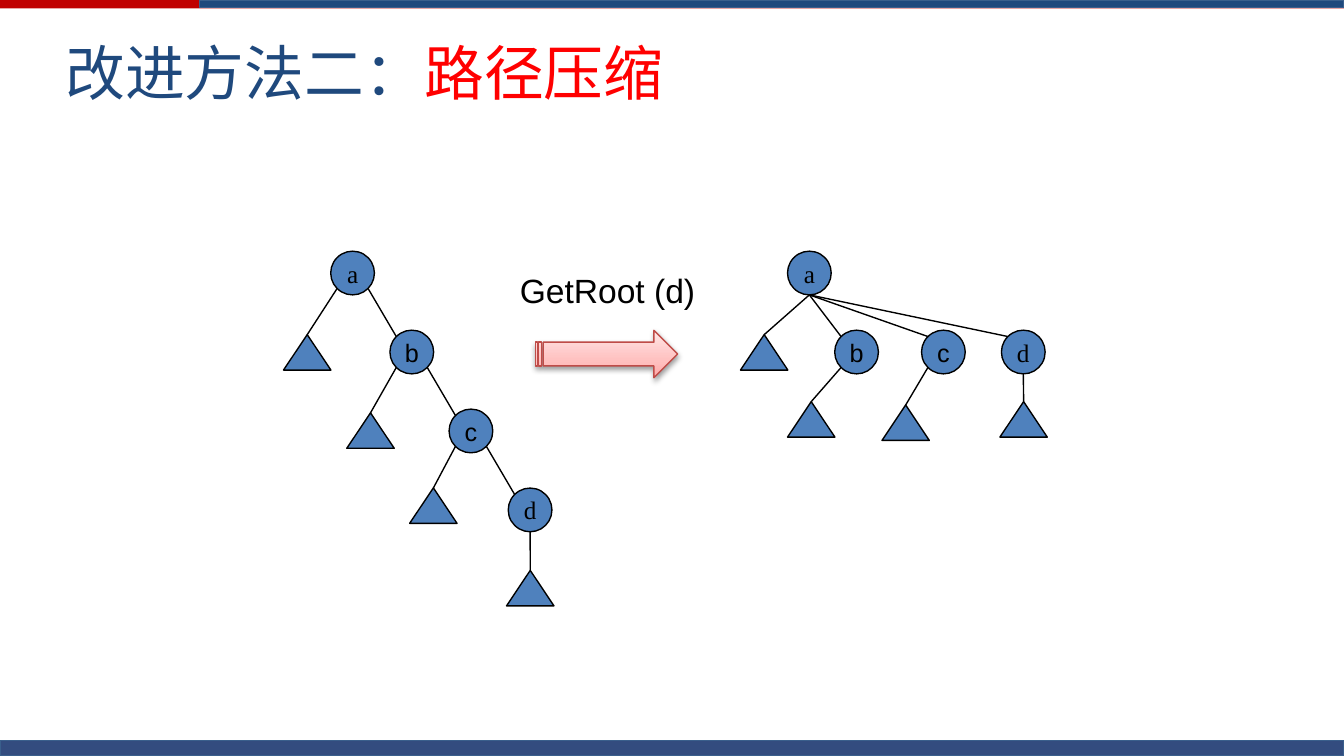
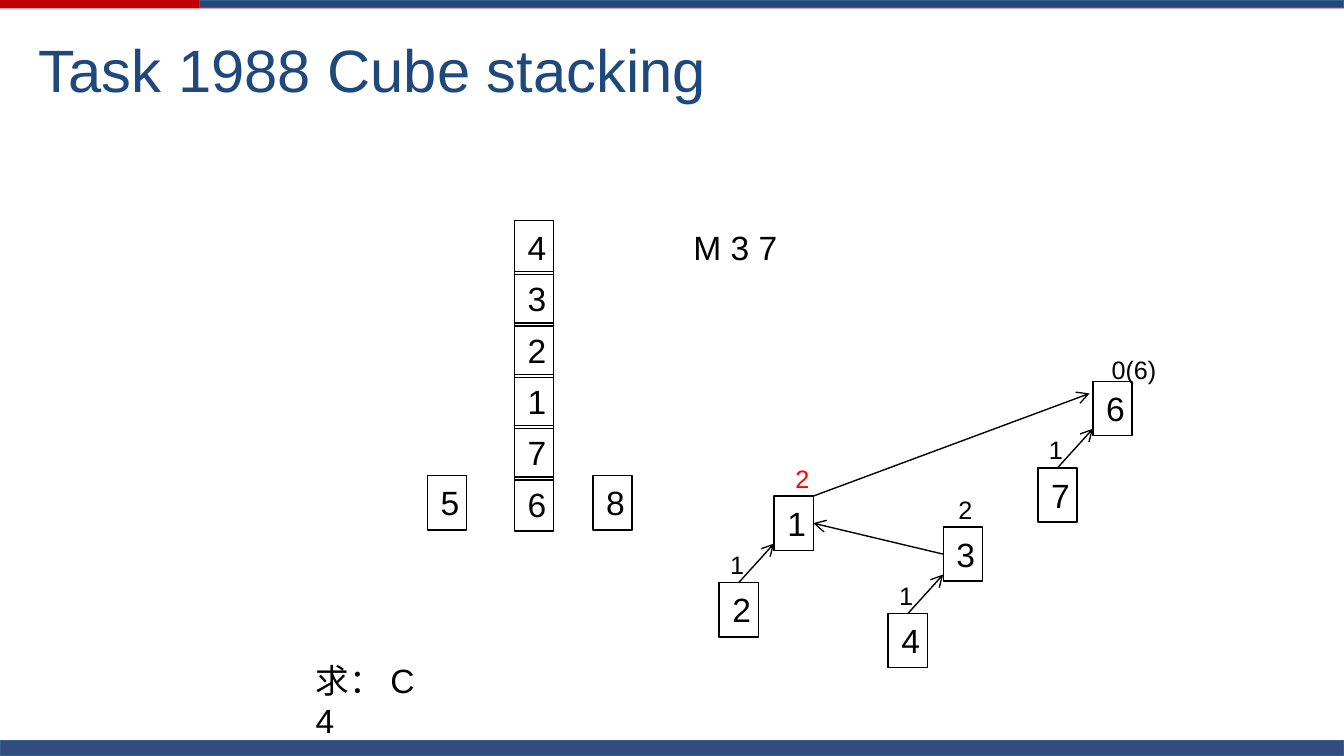
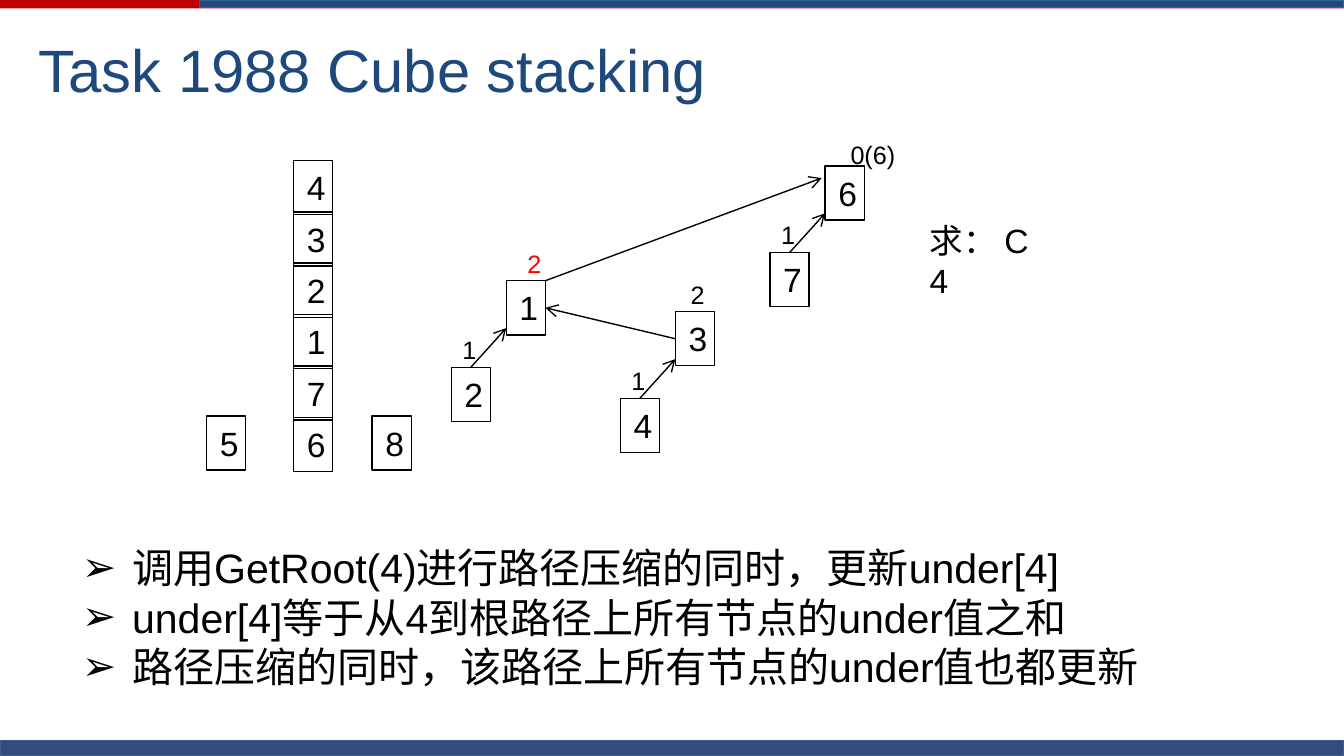
from copy import deepcopy
from dataclasses import dataclass

from lxml import etree
from pptx import Presentation
from pptx.dml.color import RGBColor
from pptx.enum.shapes import MSO_CONNECTOR, MSO_SHAPE
from pptx.enum.text import MSO_ANCHOR, PP_ALIGN
from pptx.oxml.ns import qn
from pptx.util import Pt

RECTANGLE = MSO_SHAPE.RECTANGLE
OVAL = MSO_SHAPE.OVAL
TRIANGLE = MSO_SHAPE.ISOSCELES_TRIANGLE
STRIPED_ARROW = MSO_SHAPE.STRIPED_RIGHT_ARROW
STRAIGHT = MSO_CONNECTOR.STRAIGHT
TOP = MSO_ANCHOR.TOP
MIDDLE = MSO_ANCHOR.MIDDLE
LEFT = PP_ALIGN.LEFT
CENTER = PP_ALIGN.CENTER


@dataclass(frozen=True)
class Theme:
    ink: str = "000000"
    title: str = "1F497D"
    accent: str = "FF0000"
    band_red: str = "C00000"
    band_line: str = "3A5F8C"
    footer: str = "002060"
    node: str = "4F81BD"
    arrow_line: str = "BF4C48"
    arrow_stops: tuple = ((0, "FFA6A5"), (0.35, "FFC0BF"), (1, "FFE7E7"))
    sans: str = "Arial"
    serif: str = "Times New Roman"
    title_size: float = 32
    list_size: float = 22
    body_size: float = 18
    mark_size: float = 13.5
    line_width: float = 0.75


THEME = Theme()


def add_box(slide, kind, frame, paragraphs=(), size=THEME.body_size, font=THEME.sans,
            fill=None, line=None, line_width=THEME.line_width,
            anchor=TOP, align=LEFT, inset=None):
    lengths = [Pt(value) for value in frame]
    if kind is None:
        shape = slide.shapes.add_textbox(*lengths)
    else:
        shape = slide.shapes.add_shape(kind, *lengths)
        shape.shadow.inherit = False
        if fill:
            shape.fill.solid()
            shape.fill.fore_color.rgb = RGBColor.from_string(fill)
        else:
            shape.fill.background()
        if line:
            shape.line.color.rgb = RGBColor.from_string(line)
            shape.line.width = Pt(line_width)
        else:
            shape.line.fill.background()
    text_frame = shape.text_frame
    text_frame.word_wrap = True
    text_frame.vertical_anchor = anchor
    if inset is not None:
        text_frame.margin_left = text_frame.margin_right = Pt(inset)
        text_frame.margin_top = text_frame.margin_bottom = Pt(inset)
    for index, runs in enumerate(paragraphs):
        paragraph = text_frame.add_paragraph() if index else text_frame.paragraphs[0]
        paragraph.alignment = align
        for text, color in runs:
            run = paragraph.add_run()
            run.text = text
            run.font.size = Pt(size)
            run.font.name = font
            run.font.color.rgb = RGBColor.from_string(color)
    return shape


def add_line(slide, start, end, arrowhead=False):
    connector = slide.shapes.add_connector(STRAIGHT, *[Pt(value) for value in (*start, *end)])
    connector.line.color.rgb = RGBColor.from_string(THEME.ink)
    connector.line.width = Pt(THEME.line_width)
    if arrowhead:
        etree.SubElement(connector.line._get_or_add_ln(), qn("a:tailEnd"), type="arrow")
    etree.SubElement(connector._element.spPr, qn("a:effectLst"))
    return connector


presentation = Presentation()
presentation.slide_width = Pt(720)
presentation.slide_height = Pt(405)

CUBE_TITLE = ((13.7, 5, 503.3, 63.4), [("Task 1988 Cube stacking", THEME.title)])
TITLES = [
    ((28, 7.2, 658, 62.6), [("改进方法二：", THEME.title), ("路径压缩", THEME.accent)]),
    CUBE_TITLE,
    CUBE_TITLE,
]
slides = []
for title_frame, title_runs in TITLES:
    slide = presentation.slides.add_slide(presentation.slide_layouts[6])
    add_box(slide, RECTANGLE, (0, 0, 720, 4.6), fill=THEME.band_red)
    add_box(slide, RECTANGLE, (106.8, 0, 613.2, 4), fill=THEME.title,
            line=THEME.band_line, line_width=0)
    footer = add_box(slide, RECTANGLE, (0, 396.6, 720, 8.4), fill=THEME.footer,
                     line=THEME.band_line, line_width=0)
    footer_color = footer._element.spPr.find(qn("a:solidFill"))[0]
    etree.SubElement(footer_color, qn("a:alpha"), val="80000")
    add_box(slide, None, title_frame, [title_runs], THEME.title_size, anchor=MIDDLE)
    slides.append(slide)
compression_slide, stacking_slide, update_slide = slides

NODE_SIZE = 23.4
LEAF_WIDTH, LEAF_HEIGHT = 25.4, 19
UPPER_LEFT, LOWER_LEFT, LOWER_RIGHT, BOTTOM = (-0.71, -0.71), (-0.71, 0.71), (0.71, 0.71), (0, 1)
TREES = [
    (True, LOWER_RIGHT, [
        ("a", THEME.serif, 177.2, 134.6, 151.9, 179.3, LOWER_LEFT),
        ("b", THEME.sans, 208.9, 176.9, 185.8, 221.2, LOWER_LEFT),
        ("c", THEME.sans, 240.6, 219.2, 219.5, 261.4, LOWER_LEFT),
        ("d", THEME.serif, 272.3, 261.5, 271.4, 305.6, BOTTOM),
    ]),
    (False, BOTTOM, [
        ("a", THEME.serif, 421.9, 134.6, 396.7, 179.3, BOTTOM),
        ("b", THEME.sans, 447.2, 176.9, 421.9, 215.2, LOWER_LEFT),
        ("c", THEME.sans, 493.7, 176.9, 472.5, 217, LOWER_LEFT),
        ("d", THEME.serif, 536.5, 176.9, 535.7, 215.2, BOTTOM),
    ]),
]
radius = NODE_SIZE / 2
for is_chain, branch_side, nodes in TREES:
    parent = None
    for letter, font, left, top, leaf_left, leaf_top, leaf_side in nodes:
        center = (left + radius, top + radius)
        add_box(compression_slide, OVAL, (left, top, NODE_SIZE, NODE_SIZE),
                [[(letter, THEME.ink)]], THEME.mark_size, font, THEME.node, THEME.ink,
                anchor=MIDDLE, align=CENTER, inset=0)
        add_box(compression_slide, TRIANGLE, (leaf_left, leaf_top, LEAF_WIDTH, LEAF_HEIGHT),
                fill=THEME.node, line=THEME.ink)
        leaf_start = [c + radius * side for c, side in zip(center, leaf_side)]
        add_line(compression_slide, leaf_start, (leaf_left + LEAF_WIDTH / 2, leaf_top))
        if parent:
            branch_start = [c + radius * side for c, side in zip(parent, branch_side)]
            branch_end = [c + radius * side for c, side in zip(center, UPPER_LEFT)]
            add_line(compression_slide, branch_start, branch_end)
        if is_chain or parent is None:
            parent = center

arrow = add_box(compression_slide, STRIPED_ARROW, (287, 177, 76, 25.4), line=THEME.arrow_line)
arrow.fill.gradient()
arrow.fill.gradient_angle = 90
stop_list = arrow._element.spPr.find(".//" + qn("a:gsLst"))
stop_list.append(deepcopy(stop_list[0]))
for stop, (position, color) in zip(arrow.fill.gradient_stops, THEME.arrow_stops):
    stop.position = position
    stop.color.rgb = RGBColor.from_string(color)
shadow = etree.SubElement(arrow._element.spPr.find(qn("a:effectLst")), qn("a:outerShdw"),
                          blurRad=str(Pt(3.1)), dist=str(Pt(1.6)), dir="5400000", rotWithShape="0")
shadow_color = etree.SubElement(shadow, qn("a:srgbClr"), val=THEME.ink)
etree.SubElement(shadow_color, qn("a:alpha"), val="38000")
add_box(compression_slide, None, (271.4, 141.1, 146.2, 28.8), [[("GetRoot (d)", THEME.ink)]])

CUBE_WIDTH, CUBE_HEIGHT = 21, 29
STACK_PITCH = 27.5
STACK = [(label, 0, index * STACK_PITCH) for index, label in enumerate("432176")]
CUBES = STACK + [("5", -46.6, 136.8), ("8", 42, 136.8)]
CHILD_LEFT, CHILD_TOP = -29.5, 46.4
MARK_WIDTH, MARK_HEIGHT = 13, 23.8
PAIRS = [
    ("1", "2", 0, 0, "2", THEME.accent, 4.3, -21, 38),
    ("3", "4", 90.6, 16.6, "2", THEME.ink, 2.2, -21, MARK_WIDTH),
    ("6", "7", 170.8, -61.5, "0(6)", THEME.ink, 3, -18, 45),
]
DIAGRAMS = [
    (stacking_slide, (275.6, 118.1), (414.7, 265.8), (162, 350), 0),
    (update_slide, (157.3, 86), (271.2, 150.4), (491, 114), 3.6),
]
for slide, stack_origin, tree_origin, query_origin, root_mark_shift in DIAGRAMS:
    for label, left, top in CUBES:
        add_box(slide, RECTANGLE,
                (stack_origin[0] + left, stack_origin[1] + top, CUBE_WIDTH, CUBE_HEIGHT),
                [[(label, THEME.ink)]], line=THEME.ink)

    parents = {}
    for label, child_label, left, top, mark, color, mark_left, mark_top, mark_width in PAIRS:
        left += tree_origin[0]
        top += tree_origin[1]
        child_left, child_top = left + CHILD_LEFT, top + CHILD_TOP
        parents[label] = add_box(slide, RECTANGLE, (left, top, CUBE_WIDTH, CUBE_HEIGHT),
                                 [[(label, THEME.ink)]], line=THEME.ink)
        child = add_box(slide, RECTANGLE, (child_left, child_top, CUBE_WIDTH, CUBE_HEIGHT),
                        [[(child_label, THEME.ink)]], line=THEME.ink)
        link = add_line(slide, (child_left + CUBE_WIDTH / 2, child_top), (left, top + 25.4), True)
        link.begin_connect(child, 0)
        add_box(slide, None, (child_left, child_top - 21.4, MARK_WIDTH, MARK_HEIGHT),
                [[("1", THEME.ink)]], THEME.mark_size)
        if label == "6":
            mark_left += root_mark_shift
        add_box(slide, None, (left + mark_left, top + mark_top, mark_width, MARK_HEIGHT),
                [[(mark, color)]], THEME.mark_size)

    tree_left, tree_top = tree_origin
    add_line(slide, (tree_left + CUBE_WIDTH, tree_top), (tree_left + 169, tree_top - 55), True)
    merge_link = add_line(slide, tree_origin, tree_origin, True)
    merge_link.begin_connect(parents["3"], 1)
    merge_link.end_connect(parents["1"], 3)
    add_box(slide, None, (*query_origin, 78, 51), [[("求： C 4", THEME.ink)]])

add_box(stacking_slide, None, (364.3, 118.1, 65, 28.8), [[("M 3 7", THEME.ink)]])

NOTES = [
    "调用GetRoot(4)进行路径压缩的同时，更新under[4]",
    "under[4]等于从4到根路径上所有节点的under值之和",
    "路径压缩的同时，该路径上所有节点的under值也都更新",
]
notes_box = add_box(update_slide, None, (36.7, 287.3, 594, 87),
                    [[(note, THEME.ink)] for note in NOTES], THEME.list_size)
for paragraph in notes_box.text_frame.paragraphs:
    properties = paragraph._p.get_or_add_pPr()
    properties.set("marL", str(Pt(27)))
    properties.set("indent", str(-Pt(27)))
    etree.SubElement(properties, qn("a:buFont"), typeface=THEME.sans)
    etree.SubElement(properties, qn("a:buChar"), char="➢")

presentation.save("out.pptx")
